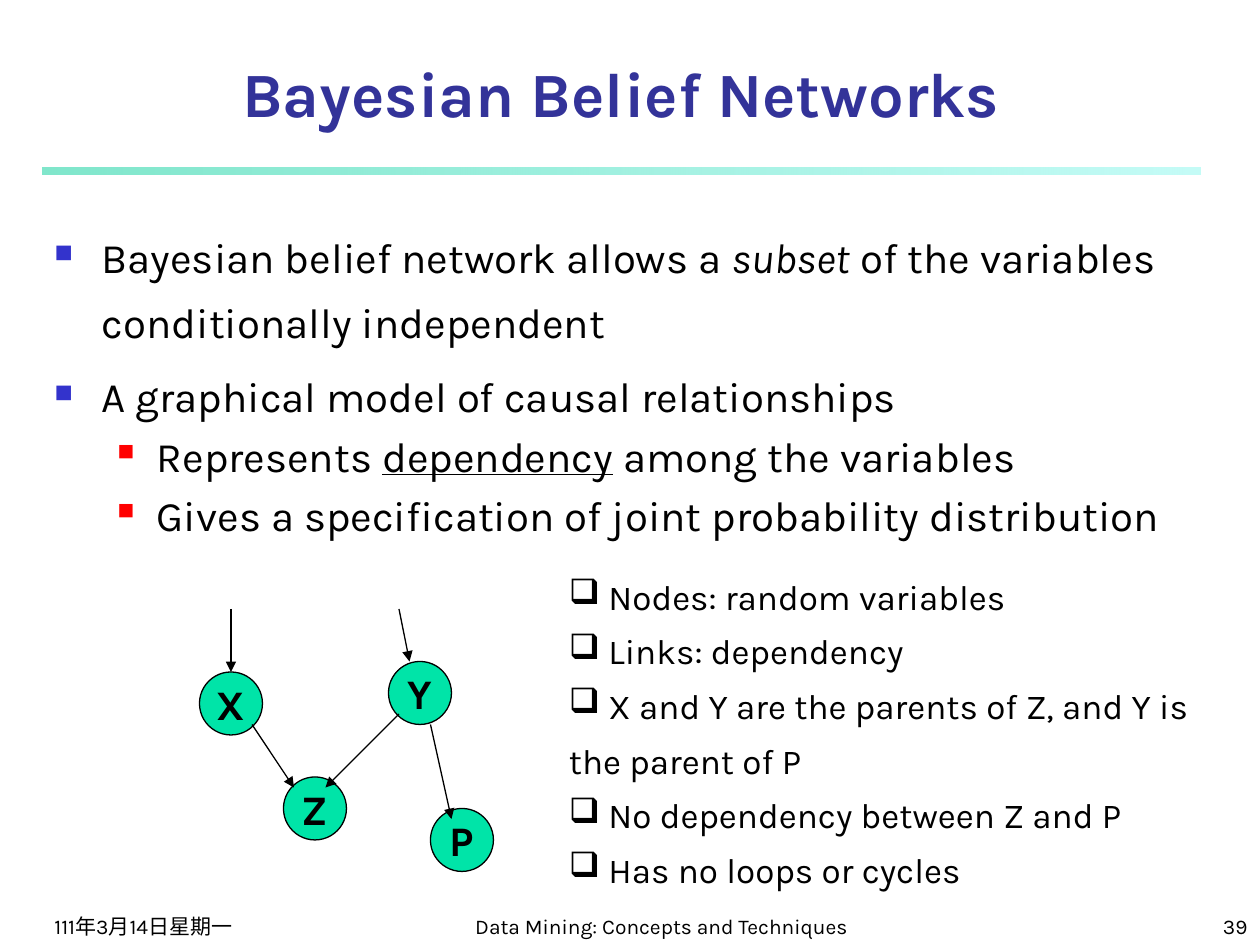
from typing import NamedTuple, Optional

from lxml.etree import SubElement
from pptx import Presentation
from pptx.dml.color import RGBColor
from pptx.enum.shapes import MSO_CONNECTOR, MSO_SHAPE
from pptx.enum.text import MSO_ANCHOR as Anchor, MSO_AUTO_SIZE as AutoSize, PP_ALIGN as Align
from pptx.oxml.ns import qn
from pptx.util import Emu, Pt

PX = 9525  # EMU per px, 96 px to the inch
FONT = "Karla"
BLACK = RGBColor(0x00, 0x00, 0x00)
TITLE_BLUE = RGBColor(0x33, 0x33, 0x99)
BULLET_BLUE = RGBColor(0x33, 0x33, 0xCC)
BULLET_RED = RGBColor(0xFF, 0x00, 0x00)
NODE_GREEN = RGBColor(0x00, 0xE4, 0xA8)
BAR_START = RGBColor(0x00, 0xCE, 0x98)
BAR_END = RGBColor(0x8F, 0xF9, 0xEF)
NODE_SIZE = 48


class Box(NamedTuple):
    left: int
    top: int
    width: int
    height: int


class Run(NamedTuple):
    text: str
    bold: bool = False
    italic: bool = False
    underline: bool = False


class Bullet(NamedTuple):
    char: str
    margin: int = 0
    hanging: int = 0
    percent: int = 100
    color: Optional[RGBColor] = None


class Item(NamedTuple):
    runs: list[Run]
    bullet: Optional[Bullet] = None
    level: int = 0
    line_spacing: float = 1.0
    space_before: int = 0


class Label(NamedTuple):
    box: Box
    text: str
    align: Align
    size: int = 12
    color: RGBColor = BLACK
    bold: bool = False


class Node(NamedTuple):
    name: str
    left: int
    top: int


class Arrow(NamedTuple):
    x1: int
    y1: int
    x2: int
    y2: int


def px(*lengths: int) -> list[Emu]:
    return [Emu(length * PX) for length in lengths]


def add_runs(paragraph, runs: list[Run], size: int, color: RGBColor = BLACK) -> None:
    for part in runs:
        run = paragraph.add_run()
        run.text = part.text
        font = run.font
        font.name, font.size, font.color.rgb = FONT, Pt(size), color
        font.bold, font.italic, font.underline = part.bold, part.italic, part.underline


def set_bullet(paragraph, bullet: Bullet) -> None:
    props = paragraph._p.get_or_add_pPr()
    props.set("marL", str(bullet.margin * PX))
    props.set("indent", str(-bullet.hanging * PX))
    if bullet.color is not None:
        color = SubElement(props, qn("a:buClr"))
        SubElement(color, qn("a:srgbClr"), val=str(bullet.color))
    SubElement(props, qn("a:buSzPct"), val=str(bullet.percent * 1000))
    SubElement(props, qn("a:buChar"), char=bullet.char)


def add_label(slide, label: Label) -> None:
    frame = slide.shapes.add_textbox(*px(*label.box)).text_frame
    frame.word_wrap = True
    frame.vertical_anchor = Anchor.BOTTOM
    paragraph = frame.paragraphs[0]
    paragraph.alignment = label.align
    add_runs(paragraph, [Run(label.text, bold=label.bold)], label.size, label.color)


def add_list(slide, box: Box, items: list[Item], size: int, auto_size: AutoSize) -> None:
    frame = slide.shapes.add_textbox(*px(*box)).text_frame
    frame.word_wrap = True
    frame.auto_size = auto_size
    for index, item in enumerate(items):
        paragraph = frame.add_paragraph() if index else frame.paragraphs[0]
        paragraph.level = item.level
        paragraph.line_spacing = item.line_spacing
        paragraph.space_before = Pt(item.space_before)
        if item.bullet:
            set_bullet(paragraph, item.bullet)
        add_runs(paragraph, item.runs, size)


def add_bar(slide, box: Box) -> None:
    bar = slide.shapes.add_shape(MSO_SHAPE.RECTANGLE, *px(*box))
    bar.shadow.inherit = False
    bar.line.fill.background()
    bar.fill.gradient()
    bar.fill.gradient_angle = 0
    for stop, color in zip(bar.fill.gradient_stops, (BAR_START, BAR_END)):
        stop.color.rgb = color
    for color, percent in zip(bar._element.spPr.iter(qn("a:srgbClr")), (50, 52)):
        SubElement(color, qn("a:alpha"), val=str(percent * 1000))


def add_node(slide, node: Node) -> None:
    circle = slide.shapes.add_shape(
        MSO_SHAPE.FLOWCHART_CONNECTOR, *px(node.left, node.top, NODE_SIZE, NODE_SIZE))
    circle.shadow.inherit = False
    circle.fill.solid()
    circle.fill.fore_color.rgb = NODE_GREEN
    circle.line.color.rgb, circle.line.width = BLACK, Pt(0.75)
    frame = circle.text_frame
    frame.word_wrap = False
    frame.vertical_anchor = Anchor.MIDDLE
    frame.paragraphs[0].alignment = Align.CENTER
    add_runs(frame.paragraphs[0], [Run(node.name, bold=True)], 24)


def add_arrow(slide, arrow: Arrow) -> None:
    link = slide.shapes.add_connector(MSO_CONNECTOR.STRAIGHT, *px(*arrow))
    link.line.color.rgb, link.line.width = BLACK, Pt(0.75)
    SubElement(link.line._get_or_add_ln(), qn("a:tailEnd"), type="triangle")
    SubElement(link._element.spPr, qn("a:effectLst"))


MAIN = Bullet("■", 36, 36, 60, BULLET_BLUE)
SUB = Bullet("■", 78, 30, 55, BULLET_RED)
CHECK = Bullet("❑")

LABELS = [
    Label(Box(32, 680, 200, 40), "111年3月14日星期一", Align.LEFT),
    Label(Box(352, 680, 304, 40), "Data Mining: Concepts and Techniques", Align.CENTER),
    Label(Box(760, 680, 200, 40), "39", Align.RIGHT),
    Label(Box(32, 40, 882, 64), "Bayesian Belief Networks", Align.CENTER, 36, TITLE_BLUE, True),
]
BODY = [
    Item([Run("Bayesian belief network allows a "), Run("subset", italic=True),
          Run(" of the variables conditionally independent")], MAIN, 0, 1.3, 5),
    Item([Run("A graphical model of causal relationships")], MAIN, 0, 1.3, 5),
    Item([Run("Represents "), Run("dependency", underline=True),
          Run(" among the variables")], SUB, 1, 1.0, 5),
    Item([Run("Gives a specification of joint probability distribution")], SUB, 1, 1.0, 5),
]
NOTES = [Item([Run(text)], CHECK, line_spacing=1.3) for text in (
    " Nodes: random variables",
    " Links: dependency",
    " X and Y are the parents of Z, and Y is the parent of P",
    " No dependency between Z and P",
    " Has no loops or cycles",
)]
NODES = [Node("X", 152, 512), Node("Y", 296, 504), Node("Z", 216, 592), Node("P", 328, 616)]
ARROWS = [
    Arrow(192, 552, 224, 600),  # X to Z
    Arrow(304, 544, 248, 600),  # Y to Z
    Arrow(328, 552, 344, 624),  # Y to P
    Arrow(176, 464, 176, 512),  # into X
    Arrow(304, 464, 312, 504),  # into Y
]


def main() -> None:
    deck = Presentation()
    deck.slide_width, deck.slide_height = px(960, 720)
    slide = deck.slides.add_slide(deck.slide_layouts[6])

    # Title, rule and footer
    add_bar(slide, Box(32, 128, 883, 5))
    for label in LABELS:
        add_label(slide, label)

    # Main points
    add_list(slide, Box(32, 160, 896, 528), BODY, 24, AutoSize.NONE)

    # Network graph
    for node in NODES:
        add_node(slide, node)
    for arrow in ARROWS:
        add_arrow(slide, arrow)

    # Notes on the graph
    add_list(slide, Box(424, 424, 518, 259), NOTES, 20, AutoSize.SHAPE_TO_FIT_TEXT)
    deck.save("out.pptx")


if __name__ == "__main__":
    main()
